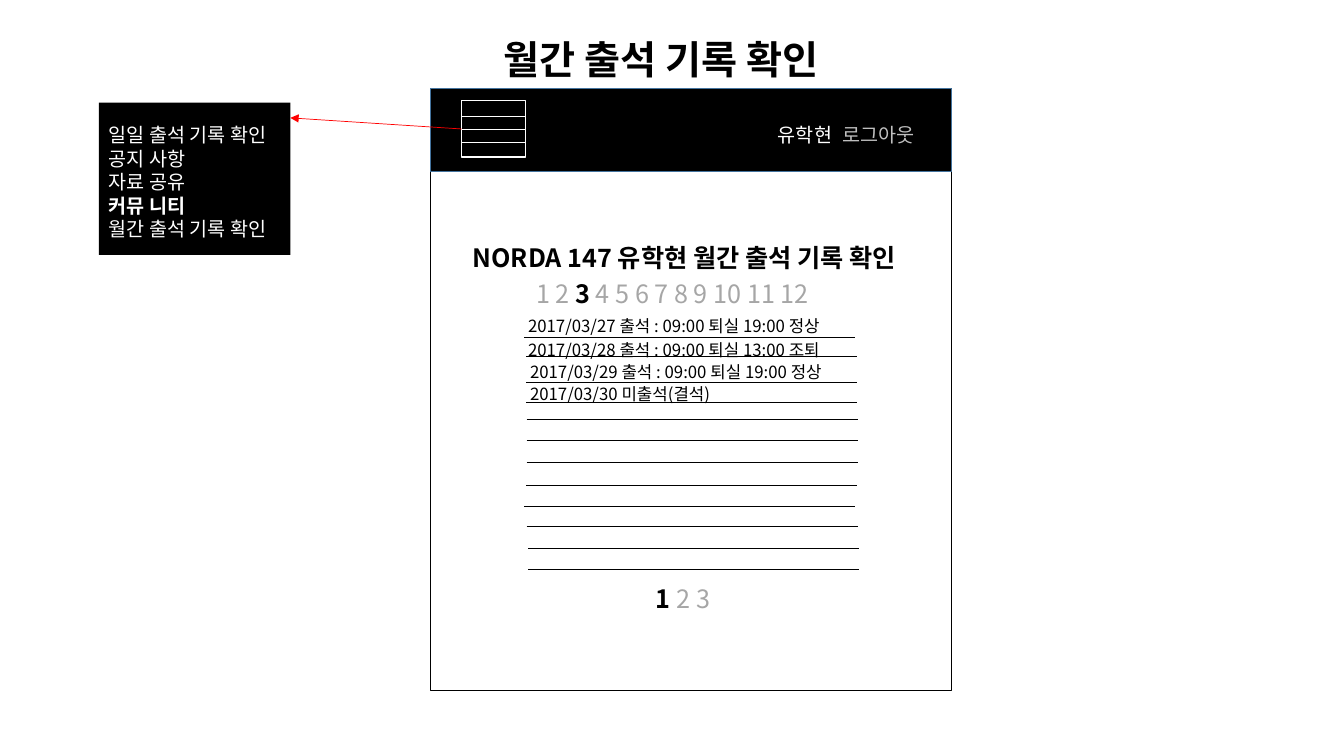
from lxml import etree
from pptx import Presentation
from pptx.dml.color import RGBColor
from pptx.enum.shapes import MSO_CONNECTOR, MSO_SHAPE
from pptx.enum.text import MSO_AUTO_SIZE
from pptx.oxml.ns import qn
from pptx.util import Pt

STRAIGHT = MSO_CONNECTOR.STRAIGHT
RECTANGLE = MSO_SHAPE.RECTANGLE
FIT_SHAPE = MSO_AUTO_SIZE.SHAPE_TO_FIT_TEXT
LEFT_SIDE = 1

FONT = "Noto Sans CJK KR"
BLACK = RGBColor(0x00, 0x00, 0x00)
WHITE = RGBColor(0xFF, 0xFF, 0xFF)
RED = RGBColor(0xFF, 0x00, 0x00)
BLUE = RGBColor(0x43, 0x73, 0x9E)
LIGHT_GRAY = RGBColor(0xBF, 0xBF, 0xBF)
GRAY = RGBColor(0xA6, 0xA6, 0xA6)

# A paragraph is a list of runs: (text, colour, bold)
TITLE = [("월간 출석 기록 확인", BLACK, True)]
USER = [("유학현\t", WHITE, False), ("로그아웃", LIGHT_GRAY, False)]
MENU = [
    [("일일 출석 기록 확인", WHITE, False)],
    [("공지 사항", WHITE, False)],
    [("자료 공유", WHITE, False)],
    [("커뮤 니티", WHITE, True)],
    [("월간 출석 기록 확인", WHITE, False)],
]
HEADING = [("NORDA 147 유학현 월간 출석 기록 확인", BLACK, True)]
MONTHS = [("1 2 ", GRAY, False), ("3 ", BLACK, True),
          ("4 5 6 7 8 9 10 11 12", GRAY, False)]
PAGES = [("1 ", BLACK, True), ("2 3", GRAY, False)]
RECORDS = [  # left, top, text
    (370.1, 221.8, "2017/03/27 출석 : 09:00 퇴실 19:00 정상"),
    (370.1, 239, "2017/03/28 출석 : 09:00 퇴실 13:00 조퇴"),
    (371.5, 254.9, "2017/03/29 출석 : 09:00 퇴실 19:00 정상"),
    (371.5, 270.7, "2017/03/30 미출석(결석)"),
]
RULES = [  # left, top
    (374.4, 241.2), (375.8, 254.9), (375.8, 272.9), (375.8, 287.3),
    (376.2, 299.5), (376.2, 314.6), (376.2, 330.5), (375.8, 347),
    (374.4, 361.4), (376.2, 375.8), (377.3, 391.7), (377.3, 406.8),
]
RULE_WIDTH = 236.5
ICON_LEFT, ICON_TOP, ICON_WIDTH, ICON_HEIGHT = 329.8, 72, 45.4, 40.3
ICON_BARS = [82.8, 92.2, 101.5]

presentation = Presentation()
presentation.slide_width = Pt(960)
presentation.slide_height = Pt(540)
slide = presentation.slides.add_slide(presentation.slide_layouts[6])


def add_box(left, top, width, height, fill=None, line=None):
    shape = slide.shapes.add_shape(RECTANGLE, Pt(left), Pt(top), Pt(width), Pt(height))
    shape.shadow.inherit = False
    if fill is None:
        shape.fill.background()
    else:
        shape.fill.solid()
        shape.fill.fore_color.rgb = fill
    if line is None:
        shape.line.fill.background()
    else:
        shape.line.color.rgb = line
        shape.line.width = Pt(1)
    return shape


def add_line(x1, y1, x2, y2, color):
    line = slide.shapes.add_connector(STRAIGHT, Pt(x1), Pt(y1), Pt(x2), Pt(y2))
    line.line.color.rgb = color
    line.line.width = Pt(0.5)
    etree.SubElement(line._element.spPr, qn("a:effectLst"))
    return line


def style_font(font, size, color, bold):
    """Set size, colour, weight and both the Latin and the East Asian typeface."""
    font.size = Pt(size)
    font.bold = bold
    font.color.rgb = color
    font.name = FONT
    etree.SubElement(font._element, qn("a:ea"), typeface=FONT)


def add_text(left, top, width, height, paragraphs, size, wrap=True, tab=None):
    box = slide.shapes.add_textbox(Pt(left), Pt(top), Pt(width), Pt(height))
    frame = box.text_frame
    frame.word_wrap = wrap
    frame.auto_size = FIT_SHAPE
    for index, runs in enumerate(paragraphs):
        paragraph = frame.add_paragraph() if index else frame.paragraphs[0]
        if tab:
            tabs = etree.SubElement(paragraph._p.get_or_add_pPr(), qn("a:tabLst"))
            etree.SubElement(tabs, qn("a:tab"), pos=str(Pt(tab)), algn="l")
        for text, color, bold in runs:
            run = paragraph.add_run()
            run.text = text
            if len(runs) > 1:
                style_font(run.font, size, color, bold)
        if len(runs) == 1:
            style_font(paragraph.font, size, *runs[0][1:])


add_box(70.6, 73.4, 136.8, 108.7, fill=BLACK)
add_text(352.8, 21.6, 290.2, 41, [TITLE], 28)

add_box(307.4, 63.4, 372.2, 429.8, line=BLACK)
add_box(307.4, 63.4, 372.2, 59, fill=BLACK, line=BLUE)
add_text(548.6, 84.2, 123.8, 24.5, [USER], 14, tab=46.3)

icon = add_box(ICON_LEFT, ICON_TOP, ICON_WIDTH, ICON_HEIGHT, fill=BLACK, line=WHITE)
for y in ICON_BARS:
    add_line(ICON_LEFT, y, ICON_LEFT + ICON_WIDTH, y, WHITE)
arrow = add_line(ICON_LEFT, ICON_TOP + ICON_HEIGHT / 2, 207.4, 84.2, RED)
arrow.begin_connect(icon, LEFT_SIDE)
etree.SubElement(arrow.line._get_or_add_ln(), qn("a:tailEnd"), type="triangle")
add_text(70.6, 84.5, 147.6, 92, MENU, 14)

for left, y in RULES:
    add_line(left, y, left + RULE_WIDTH, y, BLACK)
add_text(330.5, 169.9, 342, 28.8, [HEADING], 18, wrap=False)
add_text(375.8, 195.1, 243.4, 28.8, [MONTHS], 18)
for left, top, text in RECORDS:
    add_text(left, top, 272.9, 21.6, [[(text, BLACK, False)]], 12)
add_text(461.5, 413.3, 62.6, 28.8, [PAGES], 18)

presentation.save("out.pptx")
